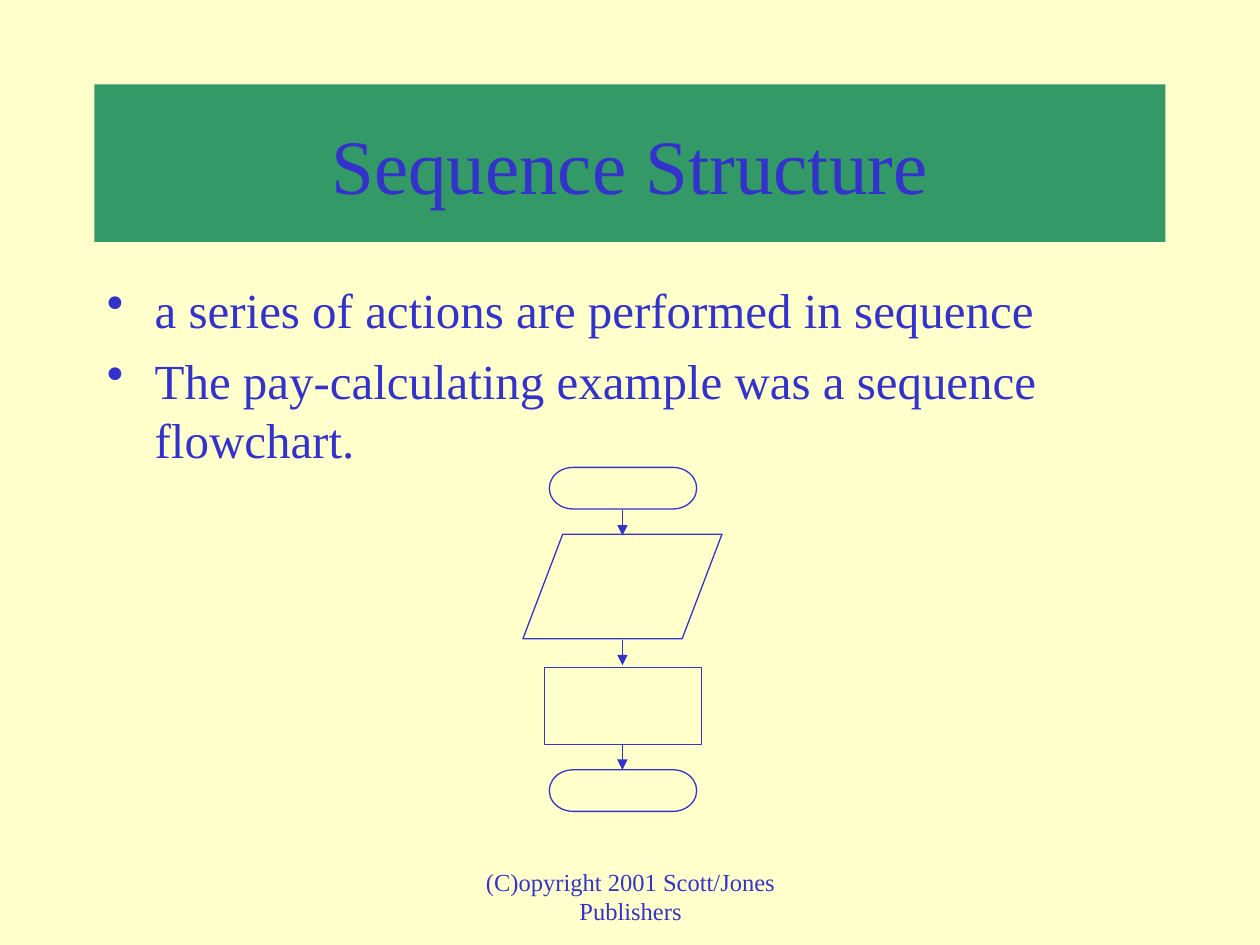
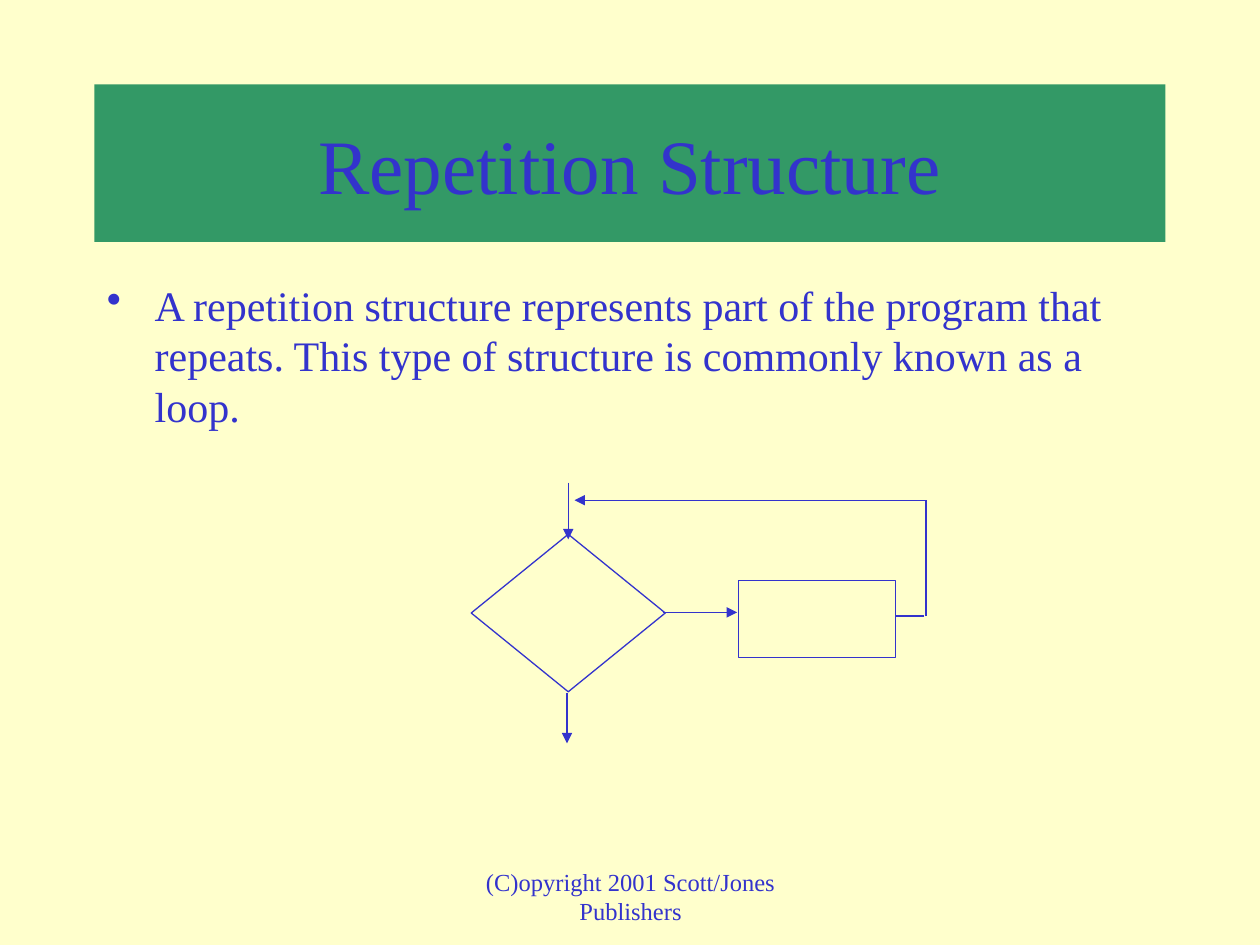
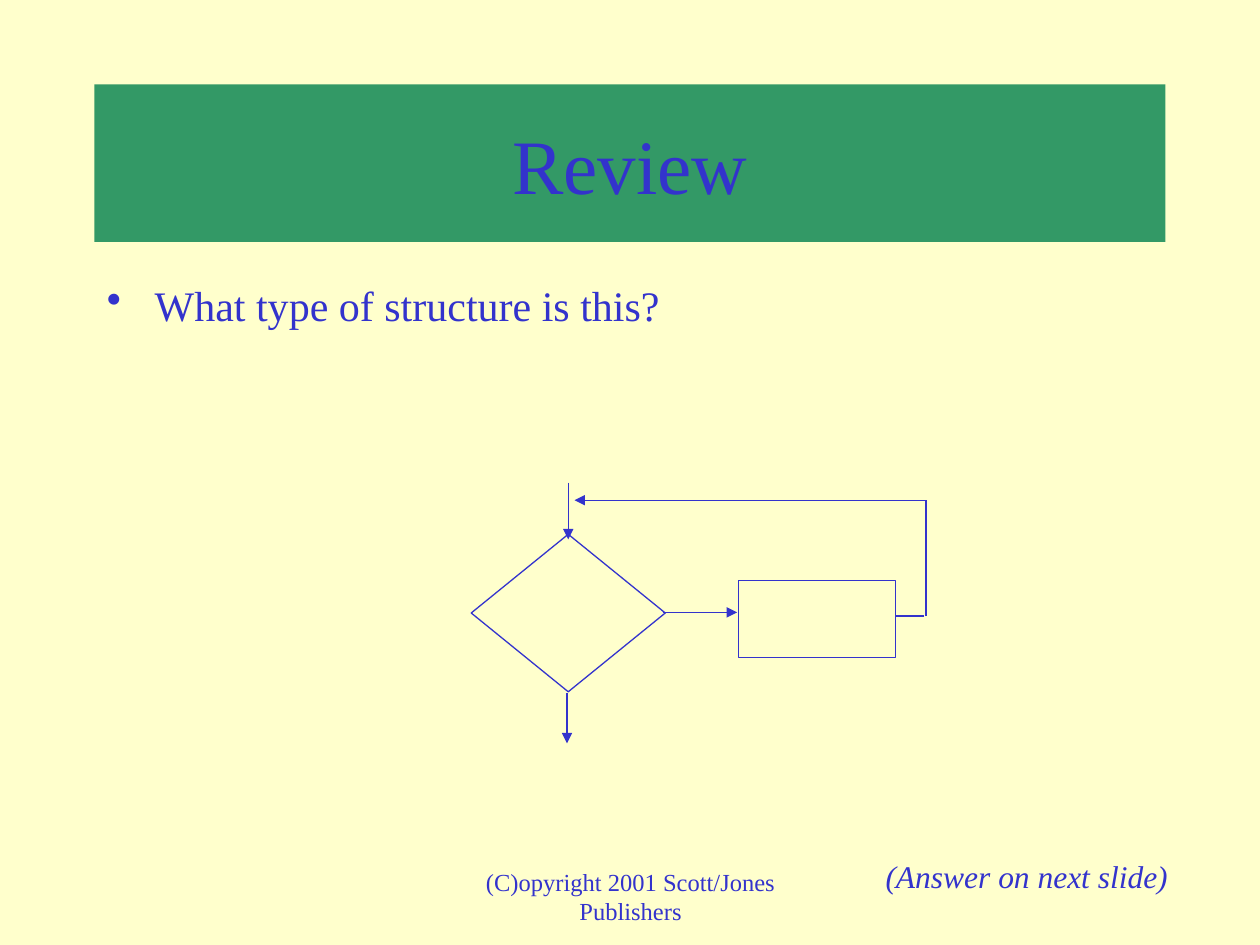
from lxml import etree
from pptx import Presentation
from pptx import util as u
from pptx.dml.color import RGBColor
from pptx.enum import shapes, text
from pptx.oxml.ns import qn

INK = "3333CC"
BAND = "339966"
PAPER = "FFFFCC"
FONT = "Times New Roman"
FOOTER = "(C)opyright 2001 Scott/Jones Publishers"
color = RGBColor.from_string
preset = shapes.MSO_SHAPE


def style(para, size, align=text.PP_ALIGN.LEFT, italic=False):
    para.alignment = align
    para.font.name = FONT
    para.font.size = u.Pt(size)
    para.font.italic = italic
    para.font.color.rgb = color(INK)


def write(page, bounds, lines, size, align=text.PP_ALIGN.LEFT, bullet=False, gap=0, italic=False):
    box = page.shapes.add_textbox(*map(u.Inches, bounds))
    frame = box.text_frame
    frame.word_wrap = True
    frame.text = "\n".join(lines)
    for index, para in enumerate(frame.paragraphs):
        if bullet:
            props = para._p.get_or_add_pPr()
            props.set("marL", str(u.Inches(0.38)))
            props.set("indent", str(u.Inches(-0.38)))
            etree.SubElement(props, qn("a:buChar"), char="•")
        if index:
            para.space_before = u.Pt(gap)
        style(para, size, align, italic)


axis = 4.94
sequence_steps = [
    (preset.FLOWCHART_TERMINATOR, 4.36, 3.71, 1.17, 0.33),
    (preset.FLOWCHART_DATA, 4.15, 4.24, 1.58, 0.83),
    (preset.RECTANGLE, 4.32, 5.3, 1.25, 0.61),
    (preset.FLOWCHART_TERMINATOR, 4.36, 6.11, 1.17, 0.33),
]
sequence_lines = [(axis, top, axis, top + 0.2, True) for top in (4.05, 5.08, 5.91)]

loop_steps = [
    (preset.FLOWCHART_DECISION, 3.74, 4.24, 1.54, 1.25),
    (preset.RECTANGLE, 5.86, 4.61, 1.25, 0.61),
]
loop_lines = [
    (4.5, 5.5, 4.5, 5.9, True),
    (5.26, 4.86, 5.85, 4.86, True),
    (4.51, 3.83, 4.51, 4.28, True),
    (7.11, 4.89, 7.33, 4.89, False),
    (7.35, 4.89, 7.35, 3.97, False),
    (7.35, 3.97, 4.56, 3.97, True),
]

pages = [
    ("Sequence Structure", 28,
     ["a series of actions are performed in sequence",
      "The pay-calculating example was a sequence flowchart."],
     sequence_steps, sequence_lines),
    ("Repetition Structure", 24,
     ["A repetition structure represents part of the program that repeats. "
      "This type of structure is commonly known as a loop."],
     loop_steps, loop_lines),
    ("Review", 24, ["What type of structure is this?"], loop_steps, loop_lines),
]

deck = Presentation()
deck.slide_width = u.Inches(10)
deck.slide_height = u.Inches(7.5)

for title, size, bullets, steps, lines in pages:
    page = deck.slides.add_slide(deck.slide_layouts[6])
    page.background.fill.solid()
    page.background.fill.fore_color.rgb = color(PAPER)

    band = page.shapes.add_shape(preset.RECTANGLE, *map(u.Inches, (0.75, 0.67, 8.5, 1.25)))
    band.shadow.inherit = False
    band.fill.solid()
    band.fill.fore_color.rgb = color(BAND)
    band.line.fill.background()
    band.text_frame.text = title
    band.text_frame.vertical_anchor = text.MSO_ANCHOR.MIDDLE
    style(band.text_frame.paragraphs[0], 44, text.PP_ALIGN.CENTER)

    write(page, (0.75, 2.17, 8.5, 4.5), bullets, size, bullet=True, gap=7)

    for kind, *bounds in steps:
        step = page.shapes.add_shape(kind, *map(u.Inches, bounds))
        step.shadow.inherit = False
        step.fill.background()
        step.line.color.rgb = color(INK)
        step.line.width = u.Pt(0.75)

    for *ends, arrow in lines:
        link = page.shapes.add_connector(shapes.MSO_CONNECTOR.STRAIGHT, *map(u.Inches, ends))
        link.line.color.rgb = color(INK)
        link.line.width = u.Pt(0.75)
        if arrow:
            etree.SubElement(link.line._get_or_add_ln(), qn("a:tailEnd"), type="triangle")
        etree.SubElement(link._element.spPr, qn("a:effectLst"))

    write(page, (3.42, 6.83, 3.17, 0.5), [FOOTER], 14, text.PP_ALIGN.CENTER)

write(page, (6.93, 6.75, 2.6, 0.4), ["(Answer on next slide)"], 18, italic=True)

deck.save("out.pptx")
